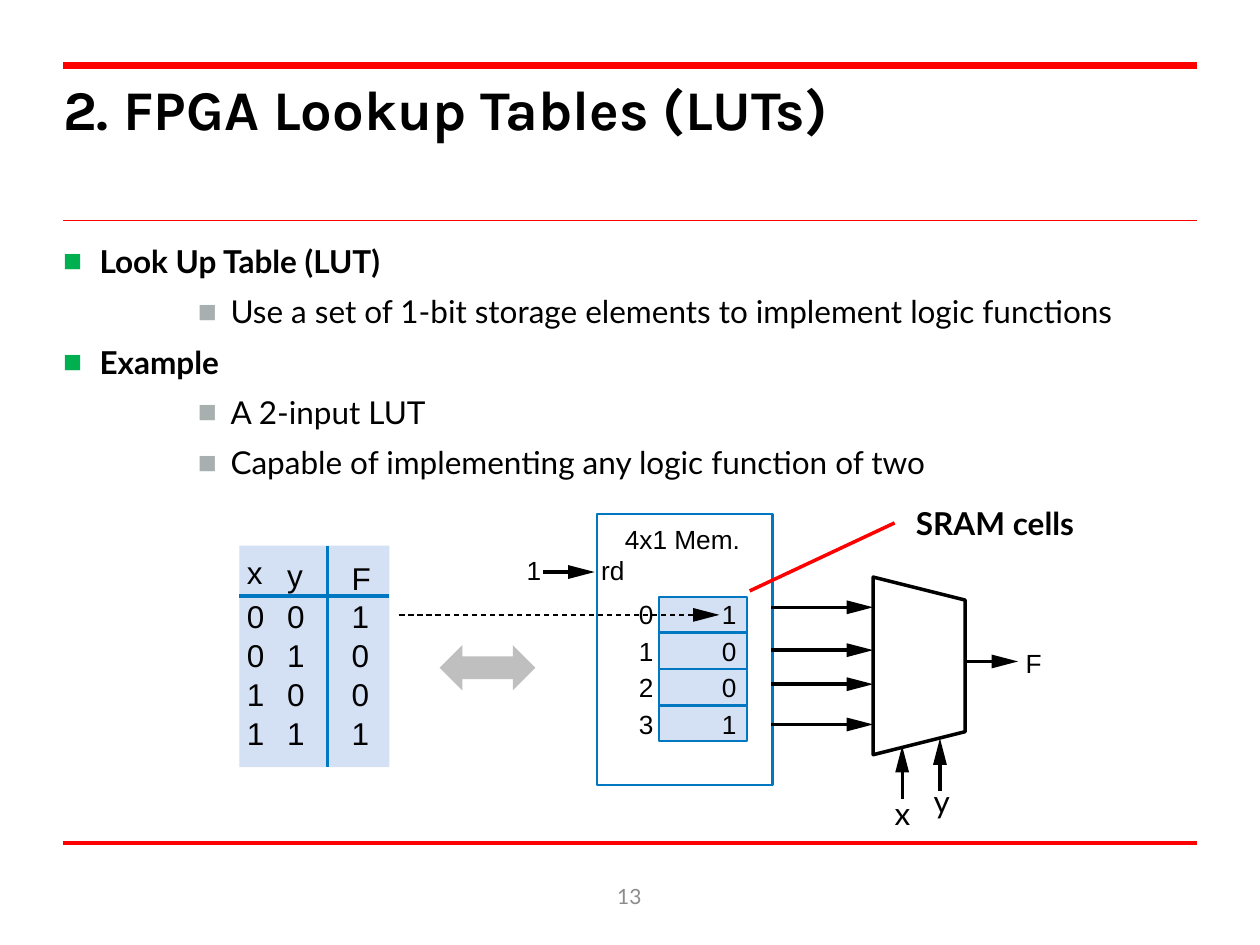
import math
from lxml import etree
from pptx import Presentation
from pptx import util as u
from pptx.dml.color import RGBColor
from pptx.enum import dml, shapes, text
from pptx.oxml import ns

PX = 9144  # 100 px to the inch
RED, BLUE, PALE, BLACK = "FF0000", "0078C1", "D4E0F3", "000000"
hue = RGBColor.from_string

deck = Presentation()
deck.slide_width, deck.slide_height = 1000 * PX, 750 * PX
slide = deck.slides.add_slide(deck.slide_layouts[5])
pool = slide.shapes


def line(x1, y1, x2, y2, tint, size, head=False, dash=False):
    """Draw a straight line; with head, end it in a slim black triangle."""
    span = math.hypot(x2 - x1, y2 - y1)
    ux, uy = (x2 - x1) / span, (y2 - y1) / span
    cut = 18 if head else 0
    ends = (x1, y1, x2 - cut * ux, y2 - cut * uy)
    rule = pool.add_connector(shapes.MSO_CONNECTOR.STRAIGHT, *[round(v * PX) for v in ends])
    rule.line.color.rgb = hue(tint)
    rule.line.width = u.Pt(size)
    if dash:
        rule.line.dash_style = dml.MSO_LINE.DASH
    etree.SubElement(rule._element.spPr, ns.qn("a:effectLst"))
    if head:
        bx, by = x2 - 21 * ux, y2 - 21 * uy
        wx, wy = -5.5 * uy, 5.5 * ux
        pen = pool.build_freeform(x2 * PX, y2 * PX)
        pen.add_line_segments([((bx + wx) * PX, (by + wy) * PX),
                               ((bx - wx) * PX, (by - wy) * PX)])
        tip = pen.convert_to_shape()
        tip.shadow.inherit = False
        tip.fill.solid()
        tip.fill.fore_color.rgb = hue(BLACK)
        tip.line.fill.background()


def label(words, x, y, wide=22, size=15, name="Arial", bold=False, tint=BLACK):
    box = pool.add_textbox(x * PX, y * PX, wide * PX, 30 * PX)
    frame = box.text_frame
    for side in ("left", "top", "right", "bottom"):
        setattr(frame, "margin_" + side, 0)
    frame.word_wrap = True
    run = frame.paragraphs[0].add_run()
    run.text = words
    for key, val in {"size": u.Pt(size), "name": name, "bold": bold}.items():
        setattr(run.font, key, val)
    run.font.color.rgb = hue(tint)
    return box


# Page rules and title
for y, size in ((669, 2.5), (175, 1), (52, 4)):
    line(50, y, 950, y, RED, size)

title = pool.title
for key, val in {"left": 50, "top": 59, "width": 899, "height": 100}.items():
    setattr(title, key, val * PX)
title.text = "2. FPGA Lookup Tables (LUTs)"
frame = title.text_frame
frame.vertical_anchor = text.MSO_ANCHOR.TOP
for side in ("left", "top", "right", "bottom"):
    setattr(frame, "margin_" + side, 0)
para = frame.paragraphs[0]
para.alignment = text.PP_ALIGN.LEFT
for key, val in {"size": u.Pt(32), "name": "Karla", "bold": True}.items():
    setattr(para.runs[0].font, key, val)
para.runs[0].font.color.rgb = hue(BLACK)

# Bulleted text
body = pool.add_textbox(50 * PX, 192 * PX, 908 * PX, 190 * PX)
frame = body.text_frame
frame.word_wrap = True
for side in ("left", "top", "right", "bottom"):
    setattr(frame, "margin_" + side, 0)
points = [
    (0, "Look Up Table (LUT)"),
    (1, "Use a set of 1-bit storage elements to implement logic functions"),
    (0, "Example"),
    (1, "A 2-input LUT"),
    (1, "Capable of implementing any logic function of two"),
]
styles = [(29, -29, "00B050"), (133, -26, "A8AFAF")]
for i, (level, words) in enumerate(points):
    para = frame.paragraphs[0] if i == 0 else frame.add_paragraph()
    left, hang, tint = styles[level]
    para.level = level
    props = para._p.get_or_add_pPr()
    props.set("marL", str(left * PX))
    props.set("indent", str(hang * PX))
    shade = etree.SubElement(props, ns.qn("a:buClr"))
    etree.SubElement(shade, ns.qn("a:srgbClr"), val=tint)
    etree.SubElement(props, ns.qn("a:buFont"), typeface="Arial")
    etree.SubElement(props, ns.qn("a:buChar"), char="■")
    para.space_after = u.Pt(7.2)
    run = para.add_run()
    run.text = words
    for key, val in {"size": u.Pt(18), "name": "Lato", "bold": level == 0}.items():
        setattr(run.font, key, val)
    run.font.color.rgb = hue(BLACK)

# Filled and outlined shapes: truth table, memory, cells, mux, double arrow
kind = shapes.MSO_SHAPE
for form, x, y, wide, high, fill, edge, size, turn in (
    (kind.RECTANGLE, 190, 433, 119, 176, PALE, None, 0, 0),
    (kind.RECTANGLE, 474, 408, 139, 215, None, BLUE, 1.38, 0),
    (kind.RECTANGLE, 523, 474, 70, 114, PALE, BLUE, 1.38, 0),
    (kind.TRAPEZOID, 659, 492, 141, 73, None, BLACK, 2, 90),
    (kind.LEFT_RIGHT_ARROW, 349, 512, 76, 36, "BFBFBF", None, 0, 0),
):
    part = pool.add_shape(form, x * PX, y * PX, wide * PX, high * PX)
    part.shadow.inherit = False
    part.rotation = turn
    if fill:
        part.fill.solid()
        part.fill.fore_color.rgb = hue(fill)
    else:
        part.fill.background()
    if edge:
        part.line.color.rgb = hue(edge)
        part.line.width = u.Pt(size)
    else:
        part.line.fill.background()

# Truth table
line(190, 473, 309, 473, BLUE, 1.88)
line(260, 433, 260, 609, BLUE, 1.88)
for name, x, top, bits in (("x", 196, 439, "0011"), ("y", 228, 441, "0101"),
                           ("F", 279, 444, "1001")):
    label(name, x, top, 16, 18)
    for row, bit in enumerate(bits):
        label(bit, x, 474 + 31 * row, 16, 18)

# Memory
label("4x1 Mem.", 496, 415, 100)
label("1", 418, 440)
label("rd", 477, 440, 29)
line(431, 454, 472, 454, BLACK, 1.88, head=True)
for row, bit in enumerate("1001"):
    y = 475 + 29 * row
    label(str(row), 507, y)
    label(bit, 573, y)
    if row:
        line(523, y - 2, 593, y - 2, BLUE, 1.38)
line(317, 488, 571, 488, BLACK, 0.75, head=True, dash=True)

# Multiplexer inputs, output and selectors
for y in (482, 516, 543, 575):
    line(612, y, 693, y, BLACK, 2, head=True)
line(766, 525, 808, 525, BLACK, 1.88, head=True)
label("F", 814, 514)
for name, x, tip in (("x", 716, 592), ("y", 746, 586)):
    line(x, tip + 42, x, tip, BLACK, 1.88, head=True)
label("x", 710, 630, 20, 18, "Lato")
label("y", 741, 621, 20, 18, "Lato")

# Callout and page number
line(595, 469, 710, 415, RED, 2)
label("SRAM cells", 727, 400, 144, 18, "Lato", True)
page = label("13", 383, 696, 233, 12, "Lato", tint="8C8C8C")
page.text_frame.vertical_anchor = text.MSO_ANCHOR.MIDDLE
page.text_frame.paragraphs[0].alignment = text.PP_ALIGN.CENTER

deck.save("out.pptx")
